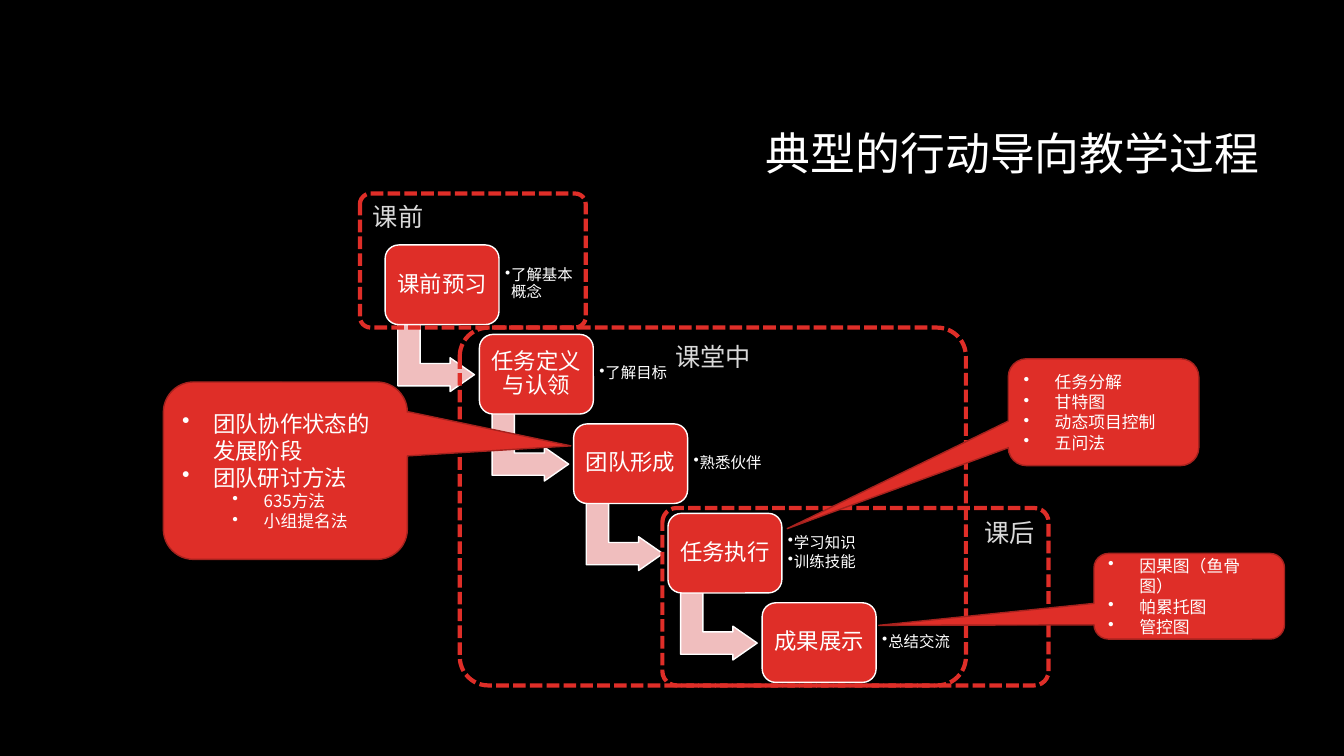
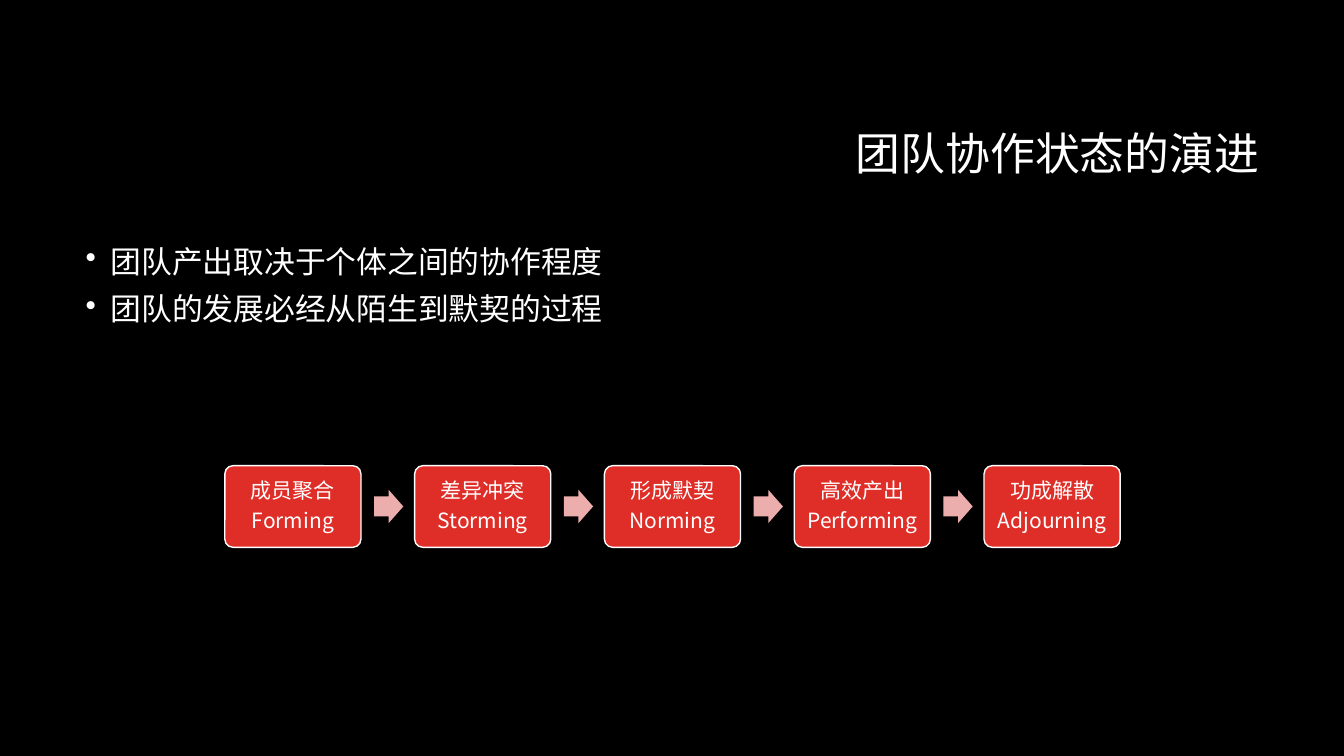
from pptx import Presentation
from pptx import util as u
from pptx.dml import color
from pptx.enum import dml, shapes, text
from pptx.oxml import ns
from lxml import etree

FONT = "Noto Sans CJK SC"
BLACK, WHITE, GREY = "000000", "FFFFFF", "D9D9D9"
RED, DARK_RED, PINK, ROSE = "DF2E28", "A5221E", "F0BEBE", "ECADAD"
WIDTH, HEIGHT = 13.33, 7.5
KIND = shapes.MSO_SHAPE
LEFT, CENTER, RIGHT = text.PP_ALIGN.LEFT, text.PP_ALIGN.CENTER, text.PP_ALIGN.RIGHT
TOP, MIDDLE = text.MSO_ANCHOR.TOP, text.MSO_ANCHOR.MIDDLE

PROCESS_TITLE = "典型的行动导向教学过程"
STEPS = [
    ("课前预习", ["了解基本概念"]),
    ("任务定义与认领", ["了解目标"]),
    ("团队形成", ["熟悉伙伴"]),
    ("任务执行", ["学习知识", "训练技能"]),
    ("成果展示", ["总结交流"]),
]
STEP_FIRST, STEP_LAST, STEP_SIZE = (3.82, 2.43), (7.56, 5.98), (1.13, 0.79)
PHASES = [
    ("课堂中", CENTER, (4.56, 3.25, 5.02, 3.55)),
    ("课前", LEFT, (3.57, 1.92, 2.24, 1.33)),
    ("课后", RIGHT, (6.57, 5.04, 3.83, 1.76)),
]
CALLOUTS = [
    ((1.62, 3.79, 2.42, 1.76), (1.17, -0.14),
     [("团队协作状态的发展阶段", 16, 0), ("团队研讨方法", 16, 0),
      ("635方法", 12, 1), ("小组提名法", 12, 1)]),
    ((10, 3.56, 1.89, 1.06), (-1.66, 1.09),
     [(item, 12, 0) for item in ("任务分解", "甘特图", "动态项目控制", "五问法")]),
    ((10.85, 5.49, 1.89, 0.85), (-1.63, 0.34),
     [(item, 12, 0) for item in ("因果图（鱼骨图）", "帕累托图", "管控图")]),
]

TEAM_TITLE = "团队协作状态的演进"
TEAM_POINTS = ["团队产出取决于个体之间的协作程度", "团队的发展必经从陌生到默契的过程"]
STAGES = [
    ("成员聚合", "Forming"),
    ("差异冲突", "Storming"),
    ("形成默契", "Norming"),
    ("高效产出", "Performing"),
    ("功成解散", "Adjourning"),
]
STAGE_FIRST, STAGE_LAST, STAGE_TOP, STAGE_SIZE = 2.23, 9.76, 4.62, (1.35, 0.81)


def rgb(value):
    return color.RGBColor.from_string(value)


def inches(area):
    return [u.Inches(length) for length in area]


def prepare_frame(box, anchor, inset):
    frame = box.text_frame
    frame.word_wrap = True
    frame.vertical_anchor = anchor
    if inset is not None:
        frame.margin_left = frame.margin_right = u.Inches(inset)
        frame.margin_top = frame.margin_bottom = u.Inches(inset)
    return frame


def write(box, lines, size, align=LEFT, anchor=MIDDLE, inset=None, tint=WHITE,
          bullet=None, spacing=None, before=0, after=0):
    frame = prepare_frame(box, anchor, inset)
    for index, line in enumerate(lines):
        words, points, level = line if isinstance(line, tuple) else (line, size, 0)
        para = frame.paragraphs[0] if index == 0 else frame.add_paragraph()
        para.alignment = align
        para.level = level
        if bullet:
            props = para._p.get_or_add_pPr()
            props.set("marL", str(u.Inches(bullet + level * 0.5)))
            props.set("indent", str(u.Inches(-bullet)))
            etree.SubElement(props, ns.qn("a:buChar")).set("char", "•")
        if spacing:
            para.line_spacing = spacing
        if before and index:
            para.space_before = u.Pt(before)
        if after:
            para.space_after = u.Pt(after)
        span = para.add_run()
        span.text = words
        span.font.size = u.Pt(points)
        span.font.color.rgb = rgb(tint)
        span.font.name = FONT
        etree.SubElement(span._r.get_or_add_rPr(), ns.qn("a:ea")).set("typeface", FONT)


def draw(page, kind, area, fill=None, line=None, weight=1, adjust=()):
    box = page.shapes.add_shape(kind, *inches(area))
    box.shadow.inherit = False
    for index, value in enumerate(adjust):
        box.adjustments[index] = value
    if fill:
        box.fill.solid()
        box.fill.fore_color.rgb = rgb(fill)
    else:
        box.fill.background()
    if line:
        box.line.color.rgb = rgb(line)
        box.line.width = u.Pt(weight)
    else:
        box.line.fill.background()
    return box


def write_box(page, area, lines, size, **style):
    write(page.shapes.add_textbox(*inches(area)), lines, size, **style)


def add_page(deck, title):
    page = deck.slides.add_slide(deck.slide_layouts[6])
    page.background.fill.solid()
    page.background.fill.fore_color.rgb = rgb(BLACK)
    write_box(page, (3.17, 0.84, 9.42, 1.41), [title], 32, align=RIGHT, spacing=0.9)
    return page


def build_process(deck):
    page = add_page(deck, PROCESS_TITLE)
    last = len(STEPS) - 1
    width, height = STEP_SIZE
    for index, (name, notes) in enumerate(STEPS):
        left, top = (a + (b - a) * index / last for a, b in zip(STEP_FIRST, STEP_LAST))
        if index < last:
            arrow = draw(page, KIND.BENT_UP_ARROW, (left + 0.17, top + 0.74, 0.67, 0.76),
                         PINK, WHITE, adjust=(0.33, 0.25, 0.36))
            arrow.rotation = 90
        step = draw(page, KIND.ROUNDED_RECTANGLE, (left, top, width, height),
                    RED, WHITE, adjust=(0.17,))
        write(step, [name], 16, align=CENTER, inset=0.07, spacing=0.9, after=5.6)
        write_box(page, (left + width, top + 0.07, 0.82, 0.64), notes, 11,
                  inset=0.06, bullet=0.06, spacing=0.9, after=1.65)
    for name, align, area in PHASES:
        phase = draw(page, KIND.ROUNDED_RECTANGLE, area, line=RED, weight=3, adjust=(0.08,))
        phase.line.dash_style = dml.MSO_LINE.SQUARE_DOT
        write(phase, [name], 18, align=align, anchor=TOP, tint=GREY)
    for area, tip, items in CALLOUTS:
        callout = draw(page, KIND.ROUNDED_RECTANGULAR_CALLOUT, area, RED, DARK_RED,
                       adjust=(*tip, 0.17))
        write(callout, items, 12, bullet=0.31)


def build_team(deck):
    page = add_page(deck, TEAM_TITLE)
    write_box(page, (0.75, 2.4, 11.83, 4.4), TEAM_POINTS, 22, anchor=TOP,
              bullet=0.25, spacing=0.9, before=10)
    last = len(STAGES) - 1
    for index, names in enumerate(STAGES):
        left = STAGE_FIRST + (STAGE_LAST - STAGE_FIRST) * index / last
        stage = draw(page, KIND.ROUNDED_RECTANGLE, (left, STAGE_TOP, *STAGE_SIZE),
                     RED, WHITE, adjust=(0.1,))
        write(stage, names, 15, align=CENTER, inset=0.06, spacing=0.9, after=5.25)
        if index < last:
            draw(page, KIND.RIGHT_ARROW, (left + 1.48, STAGE_TOP + 0.24, 0.29, 0.33),
                 ROSE, adjust=(0.6, 0.5))


def main():
    deck = Presentation()
    deck.slide_width, deck.slide_height = inches((WIDTH, HEIGHT))
    build_process(deck)
    build_team(deck)
    deck.save("out.pptx")


if __name__ == "__main__":
    main()
